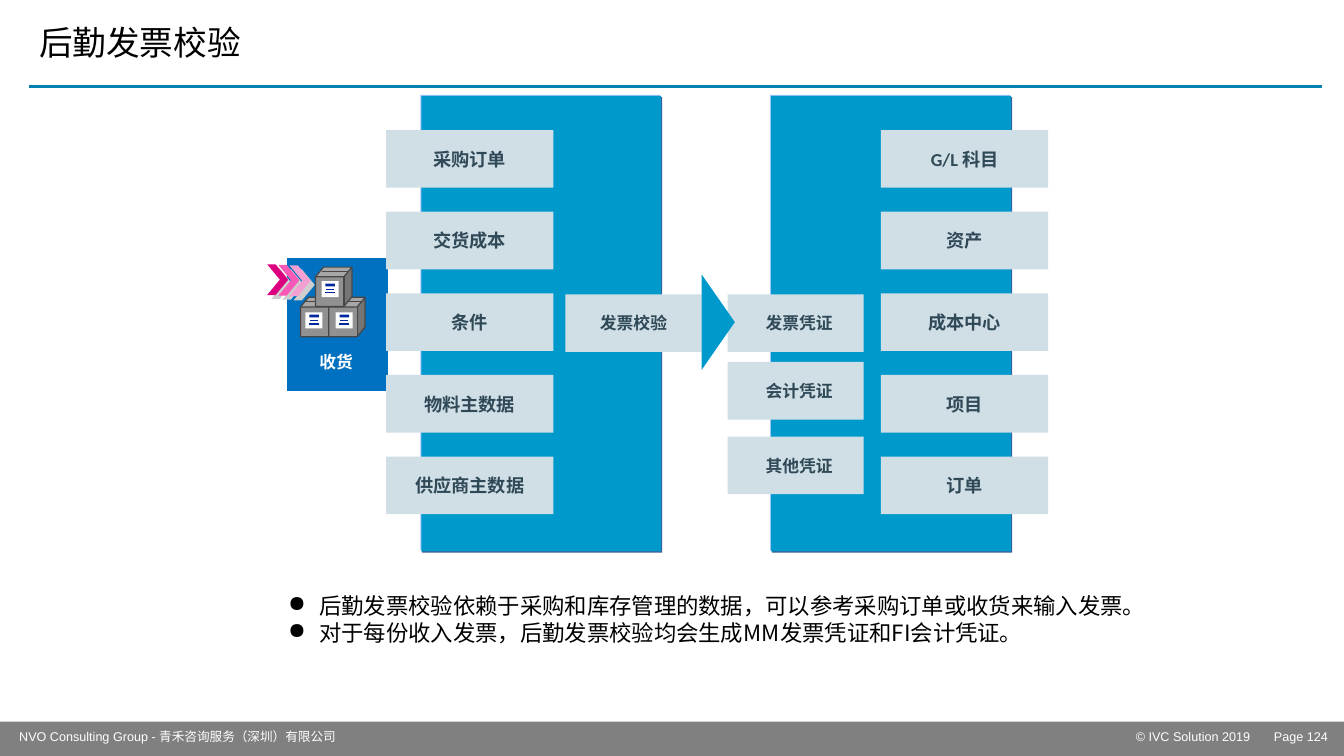
from dataclasses import dataclass

from lxml import etree
from pptx import Presentation
from pptx import util as u
from pptx.dml.color import RGBColor
from pptx.enum import shapes, text
from pptx.oxml import ns

Pt = u.Pt
LEFT, CENTER = text.PP_ALIGN.LEFT, text.PP_ALIGN.CENTER
TOP, MIDDLE, BOTTOM = (text.MSO_ANCHOR.TOP, text.MSO_ANCHOR.MIDDLE,
                       text.MSO_ANCHOR.BOTTOM)


@dataclass(frozen=True)
class Theme:
    white: str = "FFFFFF"
    black: str = "000000"
    footer: str = "808080"
    rule: str = "0082B0"
    receipt: str = "0070C0"
    panel: str = "0099CC"
    panel_light: str = "A3C2FF"
    panel_dark: str = "3D5C99"
    card: str = "D0DEE6"
    card_text: str = "2F4957"
    crate_front: str = "919191"
    crate_top: str = "A7A7A7"
    crate_side: str = "757575"
    crate_edge: str = "474747"
    tag_ink: str = "00279F"
    chevron_shadow: str = "CECECE"
    chevrons: tuple = ("DC0081", "F95AB7", "F39FD1")
    heading_font: str = "Calibri"
    footer_font: str = "Arial"
    cjk_font: str = "Noto Sans CJK SC"
    title_size: float = 24
    body_size: float = 16
    card_size: float = 13
    small_size: float = 12
    footer_size: float = 9
    thin: float = 0.88


class SlideBuilder:
    def __init__(self, slide, theme):
        self.shapes = slide.shapes
        self.theme = theme

    def paint(self, shape, fill=None, line=None):
        shape.shadow.inherit = False
        if fill:
            shape.fill.solid()
            shape.fill.fore_color.rgb = RGBColor.from_string(fill)
        else:
            shape.fill.background()
        if line:
            shape.line.color.rgb = RGBColor.from_string(line)
            shape.line.width = Pt(self.theme.thin)
        else:
            shape.line.fill.background()
        return shape

    def rect(self, x, y, w, h, fill):
        box = self.shapes.add_shape(shapes.MSO_SHAPE.RECTANGLE,
                                    Pt(x), Pt(y), Pt(w), Pt(h))
        return self.paint(box, fill)

    def outline(self, points, fill=None, line=None, close=True):
        start, *rest = [(Pt(x), Pt(y)) for x, y in points]
        builder = self.shapes.build_freeform(*start)
        builder.add_line_segments(rest, close=close)
        return self.paint(builder.convert_to_shape(), fill, line)

    def line(self, x1, y1, x2, y2, color, width):
        rule = self.shapes.add_connector(shapes.MSO_CONNECTOR.STRAIGHT,
                                         Pt(x1), Pt(y1), Pt(x2), Pt(y2))
        rule.line.color.rgb = RGBColor.from_string(color)
        rule.line.width = Pt(width)
        etree.SubElement(rule._element.spPr, ns.qn("a:effectLst"))

    def label(self, shape, lines, size, color, font=None, bold=False, align=LEFT,
              anchor=TOP, insets=(0, 0, 0, 0), spacing=None, bullet=None, tab=None):
        frame = shape.text_frame
        left, top, right, bottom = map(Pt, insets)
        frame_format = {"word_wrap": True, "vertical_anchor": anchor,
                        "margin_left": left, "margin_top": top,
                        "margin_right": right, "margin_bottom": bottom}
        for name, value in frame_format.items():
            setattr(frame, name, value)
        font_format = {"size": Pt(size), "bold": bold,
                       "name": font or self.theme.heading_font}
        for index, line in enumerate(lines):
            paragraph = frame.paragraphs[0] if index == 0 else frame.add_paragraph()
            paragraph.alignment = align
            if spacing:
                paragraph.line_spacing = spacing
            properties = paragraph._p.get_or_add_pPr()
            if bullet:
                properties.set("marL", str(Pt(22.3)))
                properties.set("indent", str(-Pt(22.3)))
                etree.SubElement(properties, ns.qn("a:buChar"), char=bullet)
            if tab:
                tabs = etree.SubElement(properties, ns.qn("a:tabLst"))
                etree.SubElement(tabs, ns.qn("a:tab"), pos=str(Pt(tab)), algn="l")
            run = paragraph.add_run()
            run.text = line
            run.font.color.rgb = RGBColor.from_string(color)
            for name, value in font_format.items():
                setattr(run.font, name, value)
            etree.SubElement(run._r.get_or_add_rPr(), ns.qn("a:ea"),
                             typeface=self.theme.cjk_font)

    def text(self, x, y, w, h, lines, size, color, **style):
        box = self.shapes.add_textbox(Pt(x), Pt(y), Pt(w), Pt(h))
        self.label(box, lines, size, color, **style)

    def panel(self, x):
        t = self.theme
        for dx, dy, fill in ((0, 0, t.panel_light), (1.4, 1.6, t.panel_dark),
                             (0.7, 0.7, t.panel)):
            self.rect(x + dx, 67.7 + dy, 171.4, 325.4, fill)

    def card(self, x, y, w, caption, size, shift=0):
        box = self.rect(x, y, w, 41.2, self.theme.card)
        self.label(box, [caption], size, self.theme.card_text, bold=True,
                   align=CENTER, anchor=MIDDLE, insets=(shift, 0, 0, 0))

    def crate(self, x, y):
        t = self.theme
        front, right, depth, bottom = x + 20.3, x + 26, y + 6.9, y + 28.1
        back = x + 5.7
        body = [(back, y), (x, depth), (x, bottom), (front, bottom),
                (right, bottom - 6.9), (right, y)]
        rim = [(x, depth), (front, depth), (right, y)]
        side = [(front, depth), (right, y), (right, bottom - 6.9), (front, bottom)]
        self.outline(body, t.crate_front)
        self.outline(rim + [(back, y)], t.crate_top)
        self.outline(side, t.crate_side)
        self.outline(body, line=t.crate_edge)
        self.outline(rim, line=t.crate_edge, close=False)
        self.line(front, depth, front, bottom, t.crate_edge, t.thin)

    def tag(self, x, y):
        t = self.theme
        self.rect(x, y, 12.2, 11.3, t.white)
        self.rect(x + 2.7, y + 1.6, 6.9, 2, t.tag_ink)
        for inset, drop in ((3.4, 5.8), (2.7, 8.3)):
            self.line(x + inset, y + drop, x + 12.2 - inset, y + drop,
                      t.tag_ink, t.thin)

    def chevron(self, x, y, fill):
        for shift, color in ((2.9, self.theme.chevron_shadow), (0, fill)):
            corners = ((0, 0), (6, 0), (15.1, 11), (6, 22), (0, 22), (9.1, 11))
            self.outline([(x + shift + dx, y + shift + dy) for dx, dy in corners],
                         color)


def main():
    deck = Presentation()
    deck.slide_width, deck.slide_height = Pt(960), Pt(540)
    t = Theme()
    page = SlideBuilder(deck.slides.add_slide(deck.slide_layouts[6]), t)

    page.rect(0, 515.5, 960, 24.5, t.footer)
    footer_style = {"font": t.footer_font, "spacing": 0.85,
                    "insets": (4.3, 2.2, 4.3, 2.2)}
    page.text(807, 519.8, 150, 13.7, ["© IVC Solution 2019\tPage 124"],
              t.footer_size, t.white, tab=98.7, **footer_style)
    page.text(9.4, 519.8, 354, 13.7,
              ["NVO Consulting Group - 青禾咨询服务（深圳）有限公司"],
              t.footer_size, t.white, **footer_style)
    page.line(20.9, 61.9, 944.6, 61.9, t.rule, 2)
    page.text(20.9, 0, 924.5, 60.5, ["后勤发票校验"], t.title_size, t.black,
              anchor=MIDDLE, insets=(7.2, 3.6, 7.2, 3.6))
    page.text(198.7, 419, 629.3, 57.6,
              ["后勤发票校验依赖于采购和库存管理的数据，可以参考采购订单或收货来输入发票。",
               "对于每份收入发票，后勤发票校验均会生成MM发票凭证和FI会计凭证。"],
              t.body_size, t.black, font=t.cjk_font, bullet="●",
              spacing=Pt(19.3), insets=(7.2, 3.6, 7.2, 3.6))

    receipt = page.rect(205.2, 184.3, 72, 95, t.receipt)
    page.label(receipt, ["收货"], t.small_size, t.white, bold=True, align=CENTER,
               anchor=BOTTOM, insets=(0, 0, 2.2, 14))

    for panel_left in (550.1, 300.2):
        page.panel(panel_left)
    columns = {275.8: ("采购订单", "交货成本", "条件", "物料主数据", "供应商主数据"),
               629.3: ("G/L 科目", "资产", "成本中心", "项目", "订单")}
    for column_left, captions in columns.items():
        for row, caption in enumerate(captions):
            page.card(column_left, 92.9 + 58.3 * row, 119.5, caption, t.card_size)
    page.card(403.9, 210.2, 97.2, "发票校验", t.small_size)
    documents = {"发票凭证": 210.2, "会计凭证": 258.5, "其他凭证": 311.8}
    for caption, top in documents.items():
        page.card(519.8, top, 97.2, caption, t.small_size, shift=5)
    page.outline([(524.9, 230.1), (501.1, 195.9), (501.1, 264.3)], t.panel)

    for crate_left in (214.6, 234.8):
        page.crate(crate_left, 212.4)
    page.line(218.2, 215.3, 257.8, 215.3, t.crate_edge, t.thin)
    page.crate(225.4, 190.8)
    page.line(229.7, 193.7, 248.4, 193.7, t.crate_edge, t.thin)
    for tag_left, tag_top in ((229.7, 200.9), (218.2, 223.2), (239.8, 223.2)):
        page.tag(tag_left, tag_top)
    for step, color in enumerate(t.chevrons):
        page.chevron(190.8 + 8 * step, 188.8 + 0.4 * step, color)

    deck.save("out.pptx")


if __name__ == "__main__":
    main()
